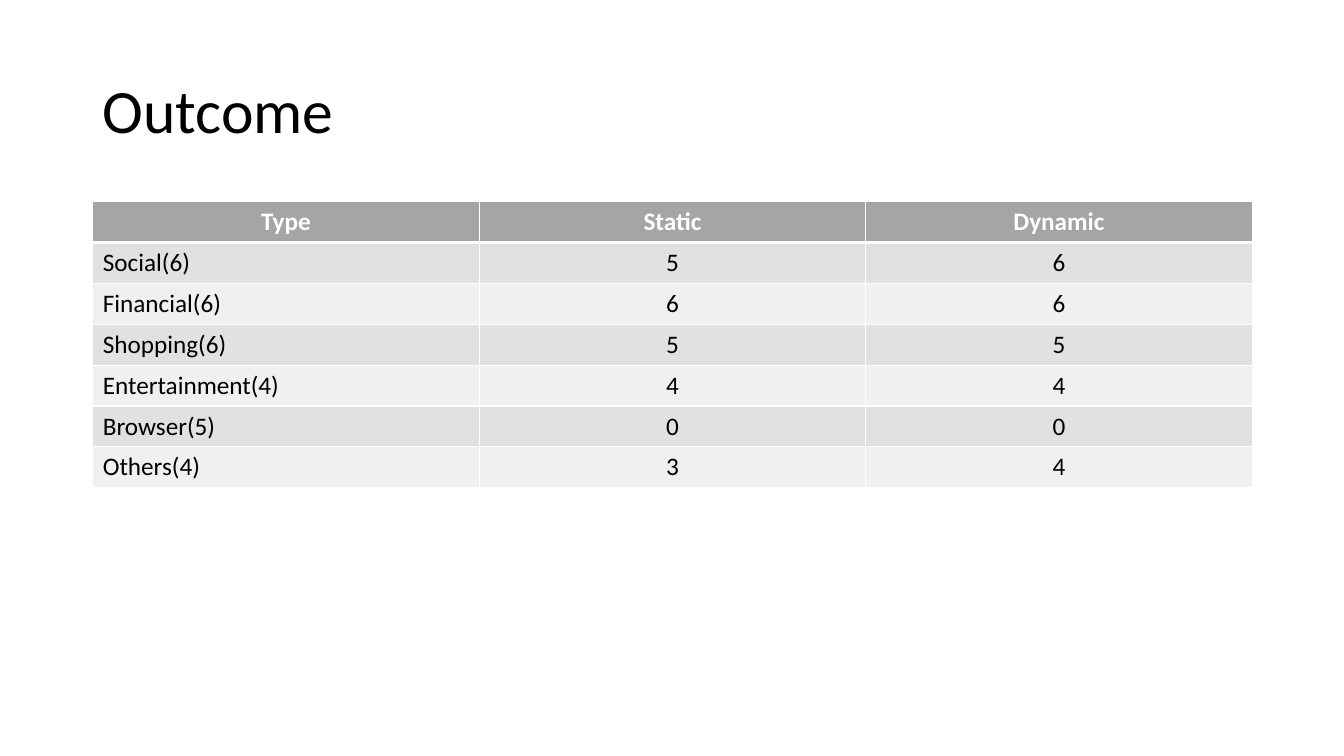
import pptx
import pptx.dml.color
import pptx.enum.text
import pptx.oxml
import pptx.oxml.ns
import pptx.util

TITLE = "Outcome"
ROWS = [
    ("Type", "Static", "Dynamic"),
    ("Social(6)", "5", "6"),
    ("Financial(6)", "6", "6"),
    ("Shopping(6)", "5", "5"),
    ("Entertainment(4)", "4", "4"),
    ("Browser(5)", "0", "0"),
    ("Others(4)", "3", "4"),
]
HEAD = "A5A5A5"
BANDS = ("F0F0F0", "E1E1E1")
WHITE, BLACK = "FFFFFF", "000000"
FONT = "Calibri"
LEFT, WIDTH = 0.92, 11.5

Inches = pptx.util.Inches
Pt = pptx.util.Pt
Align = pptx.enum.text.PP_ALIGN


def paint(color, value):
    color.rgb = pptx.dml.color.RGBColor.from_string(value)


def style(para, size, color, bold=False):
    for run in para.runs:
        run.font.name = FONT
        run.font.size = Pt(size)
        run.font.bold = bold
        paint(run.font.color, color)


def edge(cell, side, width):
    props = cell._tc.get_or_add_tcPr()
    props.append(pptx.oxml.parse_xml(
        f'<a:ln{side} {pptx.oxml.ns.nsdecls("a")} w="{Pt(width)}">'
        f'<a:solidFill><a:srgbClr val="{WHITE}"/></a:solidFill></a:ln{side}>'))


def add_title(slide):
    box = slide.shapes.add_textbox(Inches(LEFT), Inches(0.4), Inches(WIDTH), Inches(1.45))
    frame = box.text_frame
    frame.word_wrap = True
    frame.vertical_anchor = pptx.enum.text.MSO_ANCHOR.MIDDLE
    frame.text = TITLE
    para = frame.paragraphs[0]
    para.line_spacing = 0.9
    style(para, 44, BLACK)


def add_grid(slide):
    table = slide.shapes.add_table(
        len(ROWS), len(ROWS[0]),
        Inches(LEFT), Inches(2), Inches(WIDTH), Inches(2.84)).table
    for r, row in enumerate(ROWS):
        head = r == 0
        for c, text in enumerate(row):
            cell = table.cell(r, c)
            cell.text = text
            para = cell.text_frame.paragraphs[0]
            para.alignment = Align.CENTER if head or c else Align.LEFT
            style(para, 18, WHITE if head else BLACK, head)
            edge(cell, "L", 1)
            edge(cell, "R", 1)
            edge(cell, "T", 3 if r == 1 else 1)
            edge(cell, "B", 3 if head else 1)
            cell.fill.solid()
            paint(cell.fill.fore_color, HEAD if head else BANDS[r % 2])


def main():
    deck = pptx.Presentation()
    deck.slide_width = Inches(13.33)
    deck.slide_height = Inches(7.5)
    slide = deck.slides.add_slide(deck.slide_layouts[6])
    add_title(slide)
    add_grid(slide)
    deck.save("out.pptx")


if __name__ == "__main__":
    main()
